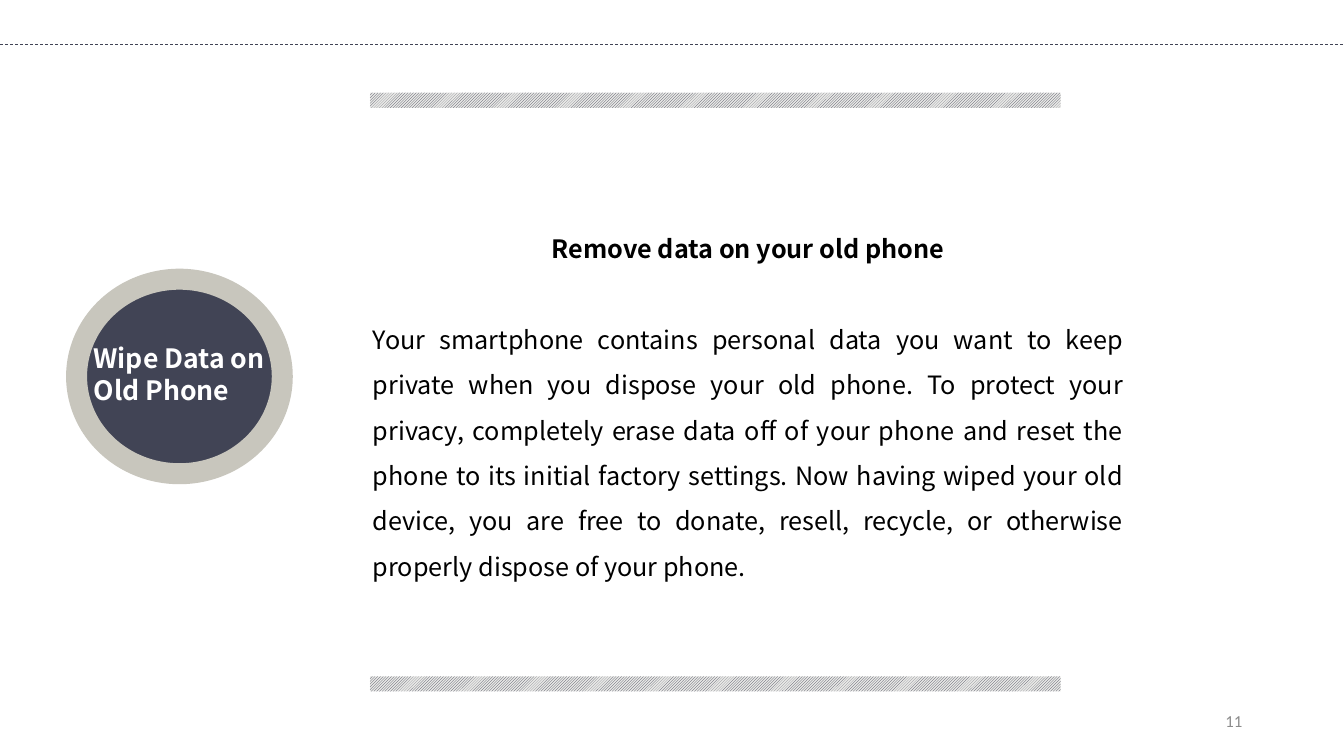
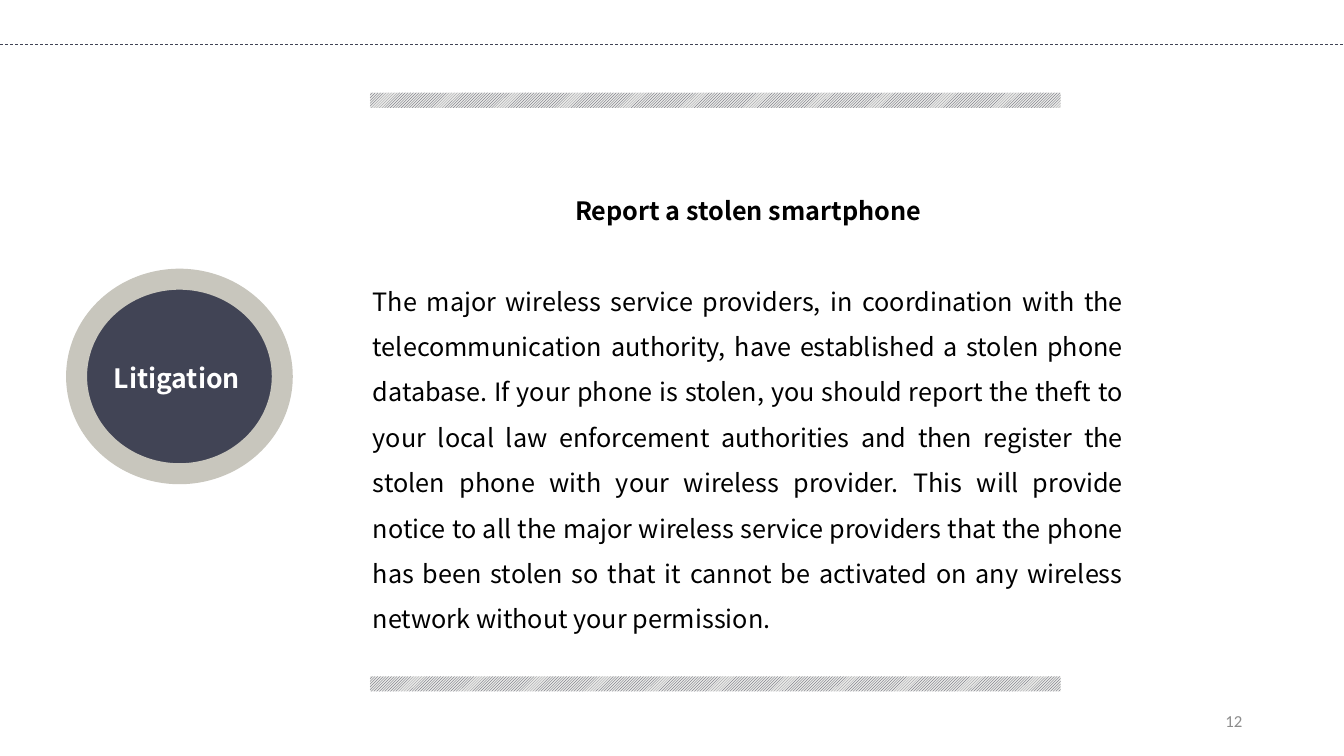
"""Build two smartphone safety slides with a round topic badge and hatched bands."""
from lxml.etree import SubElement
from pptx import Presentation
from pptx.dml.color import RGBColor
from pptx.enum.dml import MSO_LINE, MSO_PATTERN
from pptx.enum.shapes import MSO_CONNECTOR, MSO_SHAPE
from pptx.enum.text import MSO_ANCHOR, PP_ALIGN
from pptx.oxml.ns import qn
from pptx.util import Inches, Pt

NAVY, STONE, PALE = "414455", "C8C6BD", "E8E8E6"
WHITE, BLACK, GRAY = "FFFFFF", "000000", "8C8C8C"
BODY_FONT, NUMBER_FONT = "Noto Sans CJK SC", "Calibri"

TOPICS = [
    dict(
        number="11",
        label="Wipe Data on Old Phone",
        label_box=(0.83, 3.34, 2.21, 0.74),
        heading="Remove data on your old phone",
        text_box=(3.6, 2.12, 7.64, 3.68),
        body="Your smartphone contains personal data you want to keep private when you "
             "dispose your old phone. To protect your privacy, completely erase data off of "
             "your phone and reset the phone to its initial factory settings. Now having "
             "wiped your old device, you are free to donate, resell, recycle, or otherwise "
             "properly dispose of your phone.",
    ),
    dict(
        number="12",
        label="Litigation",
        label_box=(1.03, 3.54, 2.21, 0.42),
        heading="Report a stolen smartphone",
        text_box=(3.6, 1.74, 7.64, 4.59),
        body="The major wireless service providers, in coordination with the "
             "telecommunication authority, have established a stolen phone database. If your "
             "phone is stolen, you should report the theft to your local law enforcement "
             "authorities and then register the stolen phone with your wireless provider. "
             "This will provide notice to all the major wireless service providers that the "
             "phone has been stolen so that it cannot be activated on any wireless network "
             "without your permission.",
    ),
]


def color(hex_code):
    return RGBColor.from_string(hex_code)


def write(frame, text, size=18, font=BODY_FONT, ink=BLACK, bold=False,
          align=PP_ALIGN.LEFT, spacing=1.0, after=0):
    frame.word_wrap = True
    paragraph = frame.add_paragraph() if frame.text else frame.paragraphs[0]
    paragraph.alignment = align
    paragraph.line_spacing = spacing
    paragraph.space_after = Pt(after)
    run = paragraph.add_run()
    run.text = text
    run.font.size = Pt(size)
    run.font.name = font
    run.font.bold = bold
    run.font.color.rgb = color(ink)


presentation = Presentation()
presentation.slide_width = Inches(13.33)
presentation.slide_height = Inches(7.5)

for topic in TOPICS:
    slide = presentation.slides.add_slide(presentation.slide_layouts[6])

    for top in (6.71, 0.92):
        band = slide.shapes.add_shape(
            MSO_SHAPE.RECTANGLE, Inches(3.67), Inches(top), Inches(6.85), Inches(0.15))
        band.shadow.inherit = False
        band.fill.patterned()
        band.fill.pattern = MSO_PATTERN.LIGHT_UPWARD_DIAGONAL
        band.fill.fore_color.rgb = color(NAVY)
        band.fill.back_color.rgb = color(PALE)
        band.line.fill.background()

    rule = slide.shapes.add_connector(
        MSO_CONNECTOR.STRAIGHT, 0, Inches(0.44), presentation.slide_width, Inches(0.44))
    rule.line.color.rgb = color(NAVY)
    rule.line.width = Pt(0.5)
    rule.line.dash_style = MSO_LINE.DASH
    SubElement(rule._element.spPr, qn("a:effectLst"))

    article = slide.shapes.add_textbox(*map(Inches, topic["text_box"])).text_frame
    write(article, topic["heading"], bold=True, align=PP_ALIGN.CENTER, spacing=1.5, after=32.3)
    write(article, topic["body"], align=PP_ALIGN.JUSTIFY, spacing=1.5)

    badge = slide.shapes.add_group_shape()
    disc = badge.shapes.add_shape(
        MSO_SHAPE.OVAL, Inches(0.76), Inches(2.77), Inches(2.04), Inches(1.93))
    disc.shadow.inherit = False
    disc.fill.solid()
    disc.fill.fore_color.rgb = color(NAVY)
    disc.line.color.rgb = color(STONE)
    disc.line.width = Pt(15)
    label = badge.shapes.add_textbox(*map(Inches, topic["label_box"])).text_frame
    write(label, topic["label"], size=19, ink=WHITE, bold=True)

    footer = slide.shapes.add_textbox(
        Inches(9.42), Inches(6.95), Inches(3), Inches(0.4)).text_frame
    footer.vertical_anchor = MSO_ANCHOR.MIDDLE
    write(footer, topic["number"], size=12, font=NUMBER_FONT, ink=GRAY, align=PP_ALIGN.RIGHT)

presentation.save("out.pptx")
